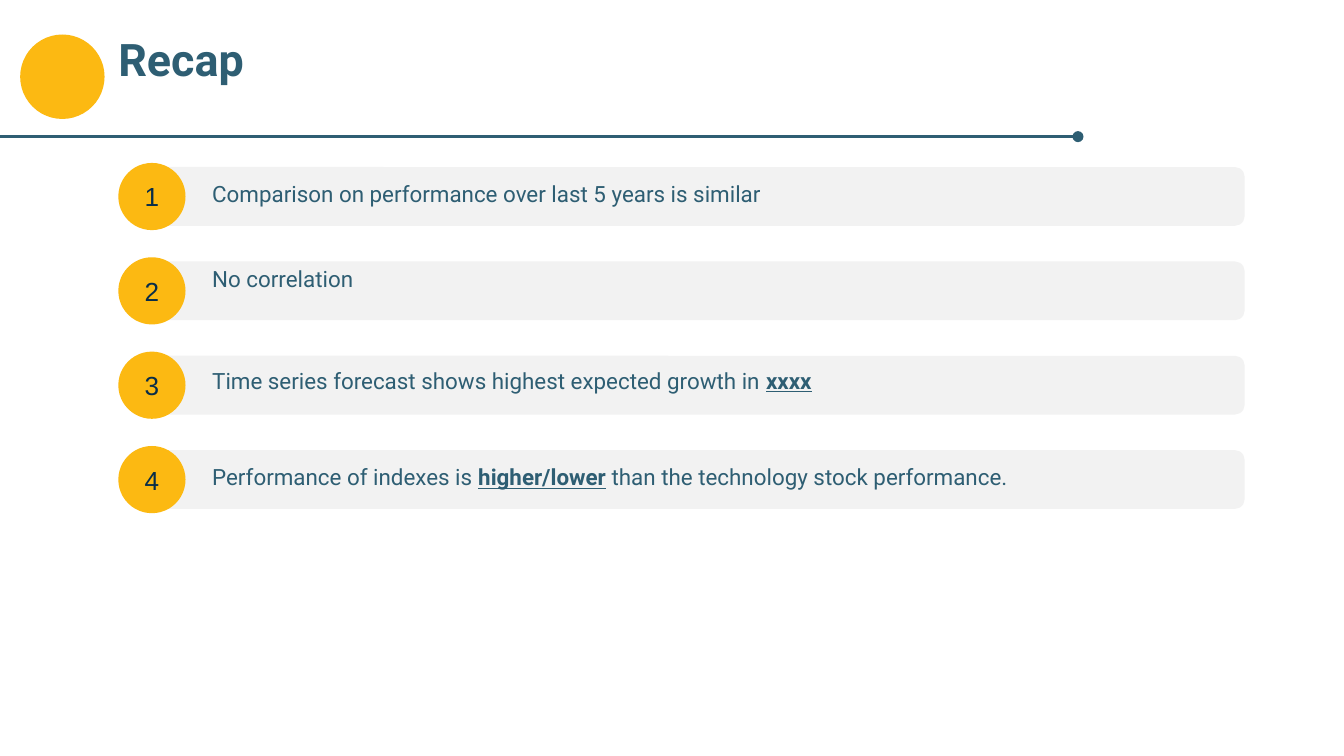
from dataclasses import dataclass

from lxml.etree import SubElement
from pptx import Presentation
from pptx.dml.color import RGBColor
from pptx.enum.shapes import MSO_CONNECTOR, MSO_SHAPE
from pptx.enum.text import MSO_ANCHOR, MSO_AUTO_SIZE, PP_ALIGN
from pptx.oxml.ns import qn
from pptx.util import Pt


@dataclass(frozen=True)
class Theme:
    teal: RGBColor = RGBColor(0x2E, 0x5E, 0x73)
    navy: RGBColor = RGBColor(0x08, 0x2D, 0x49)
    yellow: RGBColor = RGBColor(0xFC, 0xB9, 0x12)
    grey: RGBColor = RGBColor(0xF2, 0xF2, 0xF2)
    text_font: str = "Roboto"
    number_font: str = "Arial"
    title_size: int = 24
    item_size: int = 12
    number_size: int = 14


THEME = Theme()
INSET = 7.2
ROW_PITCH = 50.55

# Each item: text offset from the bar top, then (text, emphasised) runs
ITEMS = [
    (0, [("Comparison on performance over last 5 years is similar", False)]),
    (-5.2, [("No correlation", False)]),
    (-1, [("Time series forecast shows highest expected growth in ", False),
          ("xxxx", True)]),
    (0, [("Performance of indexes is ", False), ("higher/lower", True),
         (" than the technology stock performance.", False)]),
]


def set_format(target, values):
    for name, value in values.items():
        setattr(target, name, value)


def format_frame(text_frame, anchor=MSO_ANCHOR.TOP):
    set_format(text_frame, {
        "word_wrap": True, "auto_size": MSO_AUTO_SIZE.NONE,
        "vertical_anchor": anchor,
        "margin_left": Pt(INSET), "margin_right": Pt(INSET),
        "margin_top": Pt(INSET), "margin_bottom": Pt(INSET)})


def add_run(paragraph, text, font_name, size, color, bold=False, underline=False):
    run = paragraph.add_run()
    run.text = text
    set_format(run.font, {"name": font_name, "size": Pt(size),
                          "bold": bold, "underline": underline})
    run.font.color.rgb = color


def add_filled_shape(slide, kind, left, top, width, height, color):
    shape = slide.shapes.add_shape(kind, Pt(left), Pt(top), Pt(width), Pt(height))
    shape.shadow.inherit = False
    shape.fill.solid()
    shape.fill.fore_color.rgb = color
    shape.line.fill.background()
    return shape


def add_header(slide, left, top, width):
    # Accent circle
    add_filled_shape(slide, MSO_SHAPE.OVAL, left + 10.8, top + 8.5, 45.2, 45.2,
                     THEME.yellow)

    # Title
    title = slide.shapes.title
    set_format(title, {"left": Pt(left + 56.2), "top": Pt(top),
                       "width": Pt(width - 80.6), "height": Pt(45.4)})
    format_frame(title.text_frame)
    paragraph = title.text_frame.paragraphs[0]
    paragraph.alignment = PP_ALIGN.LEFT
    add_run(paragraph, "Recap", THEME.text_font, THEME.title_size, THEME.teal,
            bold=True)

    # Rule ending in a dot
    rule_top = Pt(top + 63.2)
    rule = slide.shapes.add_connector(MSO_CONNECTOR.STRAIGHT, Pt(left - 0.7),
                                      rule_top, Pt(left + 577.5), rule_top)
    rule.line.width = Pt(1.5)
    rule.line.color.rgb = THEME.teal
    line_element = rule.line.fill._xPr
    SubElement(line_element, qn("a:tailEnd"), type="oval")
    SubElement(line_element.getparent(), qn("a:effectLst"))


def add_item(slide, left, top, width, number, text_offset, runs):
    # Background bar
    bar = add_filled_shape(slide, MSO_SHAPE.ROUNDED_RECTANGLE, left + 11.5, top,
                           width - 11.5, 31.5, THEME.grey)
    bar.adjustments[0] = 0.167

    # Item text
    box = slide.shapes.add_textbox(Pt(left + 43.2), Pt(top + text_offset),
                                   Pt(543), Pt(28.8))
    format_frame(box.text_frame)
    paragraph = box.text_frame.paragraphs[0]
    for text, emphasised in runs:
        add_run(paragraph, text, THEME.text_font, THEME.item_size, THEME.teal,
                bold=emphasised, underline=emphasised)

    # Number badge
    badge = add_filled_shape(slide, MSO_SHAPE.OVAL, left, top - 2.2, 36, 36,
                             THEME.yellow)
    format_frame(badge.text_frame, MSO_ANCHOR.MIDDLE)
    paragraph = badge.text_frame.paragraphs[0]
    paragraph.alignment = PP_ALIGN.CENTER
    add_run(paragraph, str(number), THEME.number_font, THEME.number_size,
            THEME.navy)


def add_items(slide, left, top, width):
    for index, (text_offset, runs) in enumerate(ITEMS):
        add_item(slide, left, top + index * ROW_PITCH, width, index + 1,
                 text_offset, runs)


def main():
    presentation = Presentation()
    set_format(presentation, {"slide_width": Pt(720), "slide_height": Pt(405)})
    slide = presentation.slides.add_slide(presentation.slide_layouts[5])
    add_header(slide, left=0, top=10, width=720)
    add_items(slide, left=63.4, top=89.5, width=603.4)
    presentation.save("out.pptx")


if __name__ == "__main__":
    main()
